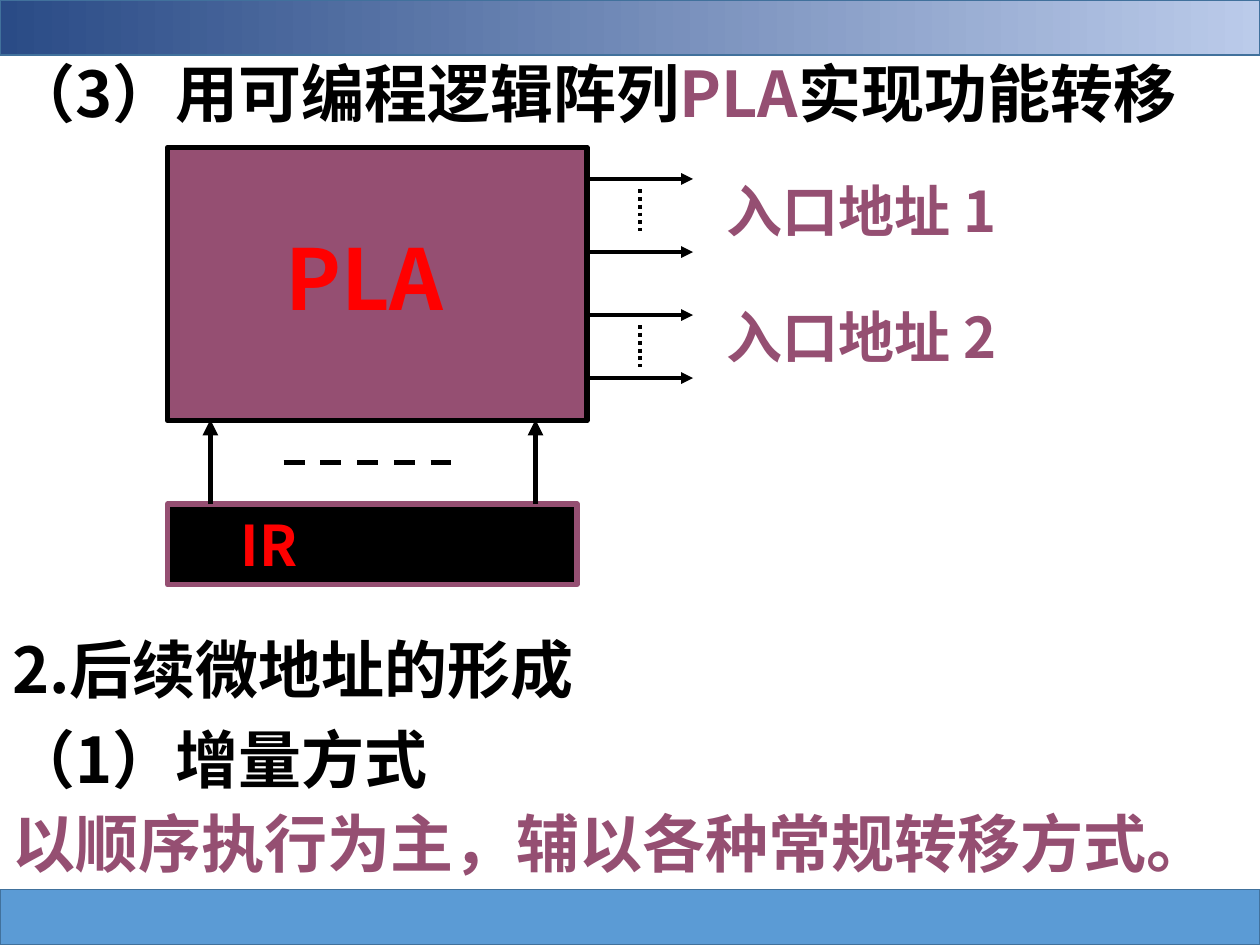
"""Build a slide on PLA function transfer and next micro-address formation."""
from dataclasses import dataclass

from lxml import etree
from pptx import Presentation
from pptx.dml.color import RGBColor
from pptx.enum.dml import MSO_LINE
from pptx.enum.shapes import MSO_CONNECTOR, MSO_SHAPE
from pptx.enum.text import MSO_ANCHOR, PP_ALIGN
from pptx.oxml.ns import qn
from pptx.util import Inches, Pt

RECTANGLE = MSO_SHAPE.RECTANGLE
STRAIGHT = MSO_CONNECTOR.STRAIGHT
DASH = MSO_LINE.DASH
DOTS = MSO_LINE.ROUND_DOT
LEFT = PP_ALIGN.LEFT
MIDDLE = MSO_ANCHOR.MIDDLE


@dataclass(frozen=True)
class Theme:
    font: str = "Noto Sans CJK SC"
    black: str = "000000"
    plum: str = "954F72"
    red: str = "FF0000"
    band: str = "5B9BD5"
    band_edge: str = "41719C"
    band_dark: str = "2A4B86"
    band_light: str = "BBCBEA"
    heading: int = 36
    label: int = 32
    block: int = 48
    thin: float = 2.25
    thick: float = 3


THEME = Theme()


def add_box(slide, left, top, width, height, fill, edge, weight):
    """Add a filled and outlined rectangle."""
    box = slide.shapes.add_shape(
        RECTANGLE, Inches(left), Inches(top), Inches(width), Inches(height))
    box.shadow.inherit = False
    box.fill.solid()
    box.fill.fore_color.rgb = RGBColor.from_string(fill)
    box.line.color.rgb = RGBColor.from_string(edge)
    box.line.width = Pt(weight)
    return box


def add_header_band(slide):
    """Add the gradient band along the top edge."""
    band = add_box(slide, 0, 0, 10, 0.44, THEME.band, THEME.band_edge, 1)
    band.fill.gradient()
    band.fill.gradient_angle = 0
    for stop, color in zip(band.fill.gradient_stops, (THEME.band_dark, THEME.band_light)):
        stop.color.rgb = RGBColor.from_string(color)


def write_runs(paragraph, runs, size):
    """Write (text, color) runs in bold at one size."""
    for text, color in runs:
        run = paragraph.add_run()
        run.text = text
        run.font.name = THEME.font
        run.font.size = Pt(size)
        run.font.bold = True
        run.font.color.rgb = RGBColor.from_string(color)
        east_asian = etree.SubElement(run.font._element, qn("a:ea"))
        east_asian.set("typeface", THEME.font)


def add_text(slide, left, top, width, height, runs, size, spacing=0.7):
    """Add a wrapped text box holding one paragraph."""
    box = slide.shapes.add_textbox(
        Inches(left), Inches(top), Inches(width), Inches(height))
    box.text_frame.word_wrap = True
    paragraph = box.text_frame.paragraphs[0]
    paragraph.line_spacing = spacing
    write_runs(paragraph, runs, size)


def add_line(slide, start, end, weight, dash=None, arrow=False):
    """Add a black line, optionally dashed or with an arrowhead at its end."""
    line = slide.shapes.add_connector(
        STRAIGHT, *(Inches(value) for value in (*start, *end)))
    line.line.color.rgb = RGBColor.from_string(THEME.black)
    line.line.width = Pt(weight)
    if dash is not None:
        line.line.dash_style = dash
    if arrow:
        head = etree.SubElement(line.line._get_or_add_ln(), qn("a:tailEnd"))
        head.set("type", "triangle")
    etree.SubElement(line._element.spPr, qn("a:effectLst"))


def add_pla_diagram(slide):
    """Draw the instruction register feeding the PLA and its entry addresses."""
    add_box(slide, 1.33, 1.17, 3.33, 2.17, THEME.plum, THEME.black, THEME.thick)
    add_text(slide, 2.17, 1.75, 1.75, 0.9, [("PLA", THEME.red)], THEME.block, 1.0)

    register = add_box(slide, 1.33, 4, 3.25, 0.64, THEME.black, THEME.plum, THEME.thick)
    register.text_frame.margin_left = Inches(0.58)
    register.text_frame.vertical_anchor = MIDDLE
    register_label = register.text_frame.paragraphs[0]
    register_label.alignment = LEFT
    write_runs(register_label, [("IR", THEME.red)], THEME.label)

    for x in (1.67, 4.25):
        add_line(slide, (x, 4), (x, 3.33), THEME.thick, arrow=True)
    add_line(slide, (2.25, 3.67), (3.58, 3.67), THEME.thick, dash=DASH)

    for y in (1.42, 2, 2.5, 3):
        add_line(slide, (4.67, y), (5.5, y), THEME.thin, arrow=True)
    for y in (1.5, 2.58):
        add_line(slide, (5.08, y), (5.08, y + 0.33), THEME.thin, dash=DOTS)
    for y, address in ((1.5, "入口地址 1"), (2.5, "入口地址 2")):
        add_text(slide, 5.67, y, 4.33, 0.48, [(address, THEME.plum)], THEME.label)


def main():
    """Assemble and save the slide."""
    deck = Presentation()
    deck.slide_width, deck.slide_height = Inches(10), Inches(7.5)
    slide = deck.slides.add_slide(deck.slide_layouts[6])

    add_box(slide, 0, 7.06, 10, 0.44, THEME.band, THEME.band_edge, 1)
    add_header_band(slide)
    title = [("（3）用可编程逻辑阵列", THEME.black), ("PLA", THEME.plum),
             ("实现功能转移", THEME.black)]
    add_text(slide, 0, 0.55, 9.88, 0.94, title, THEME.heading)
    add_pla_diagram(slide)
    add_text(slide, 0, 5.17, 8.5, 0.46, [("2.后续微地址的形成", THEME.black)],
             THEME.heading, 0.6)
    add_text(slide, 0, 5.83, 7.08, 0.52, [("（1）增量方式", THEME.black)], THEME.heading)
    add_text(slide, 0, 6.5, 9.88, 0.94,
             [("以顺序执行为主，辅以各种常规转移方式。", THEME.plum)], THEME.heading)
    deck.save("out.pptx")


if __name__ == "__main__":
    main()
